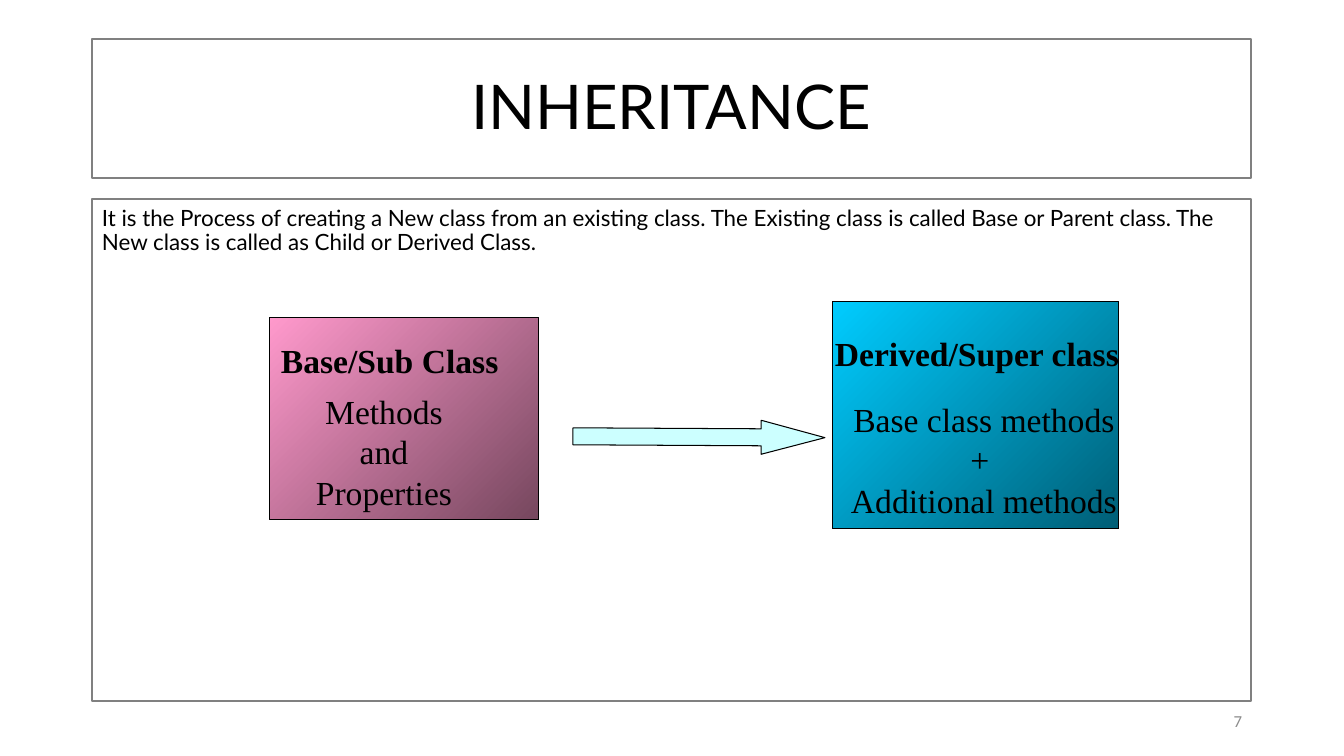
"""Build the INHERITANCE slide: a base class leading to a derived class."""
from pptx import Presentation
from pptx import util as u
from pptx.dml.color import RGBColor
from pptx.enum import shapes, text

PX = 914400 / 100.8
COLORS = {
    "ink": "000000", "frame": "808080", "number": "8C8C8C", "arrow": "CCFFFF",
    "pink": "FF99CC", "plum": "76475E", "cyan": "00CCFF", "teal": "005E76",
}
ALIGN = text.PP_ALIGN
ANCHOR = text.MSO_ANCHOR


def add_shape(kind, box, line, width):
    shape = slide.shapes.add_shape(kind, *[round(n * PX) for n in box])
    shape.shadow.inherit = False
    shape.fill.background()
    shape.line.color.rgb = RGBColor.from_string(COLORS[line])
    shape.line.width = u.Pt(width)
    return shape


def add_text(box, words, size, font="Times New Roman", align=ALIGN.LEFT,
             anchor=ANCHOR.TOP, color="ink", bold=False, spacing=1.0):
    frame = slide.shapes.add_textbox(*[round(n * PX) for n in box]).text_frame
    frame.word_wrap = True
    frame.vertical_anchor = anchor
    paragraph = frame.paragraphs[0]
    paragraph.text = words
    paragraph.alignment = align
    paragraph.line_spacing = spacing
    for run in paragraph.runs:
        run.font.name = font
        run.font.size = u.Pt(size)
        run.font.bold = bold
        run.font.color.rgb = RGBColor.from_string(COLORS[color])


presentation = Presentation()
presentation.slide_width = round(1344 * PX)
presentation.slide_height = round(756 * PX)
slide = presentation.slides.add_slide(presentation.slide_layouts[6])

add_text((92, 39, 1159, 141), "INHERITANCE", 44, "Lato", ALIGN.CENTER,
         ANCHOR.MIDDLE, spacing=0.9)
add_text((92, 202, 1159, 497),
         "It is the Process of creating a New class from an existing class. "
         "The Existing class is called Base or Parent class. "
         "The New class is called as Child or Derived Class.",
         16, "Lato", spacing=0.9)
add_text((950, 701, 302, 40), "7", 12, "Calibri", ALIGN.RIGHT,
         ANCHOR.MIDDLE, "number")

for frame_box in ((92, 199, 1159, 502), (92, 39, 1159, 139)):
    add_shape(shapes.MSO_SHAPE.RECTANGLE, frame_box, "frame", 1)

class_boxes = (
    ((270, 318, 269, 202), "pink", "plum",
     (271, 335, 269, 50), "Base/Sub Class",
     (287, 386, 194, 131), "Methods\vand Properties"),
    ((833, 302, 286, 227), "cyan", "teal",
     (825, 328, 311, 50), "Derived/Super class",
     (833, 394, 302, 131), "Base class methods + \vAdditional methods"),
)
for box, start, end, name_box, name, members_box, members in class_boxes:
    class_shape = add_shape(shapes.MSO_SHAPE.RECTANGLE, box, "ink", 0.75)
    class_shape.fill.gradient()
    class_shape.fill.gradient_angle = 315
    for stop, color in zip(class_shape.fill.gradient_stops, (start, end)):
        stop.color.rgb = RGBColor.from_string(COLORS[color])
    add_text(name_box, name, 24, bold=True)
    add_text(members_box, members, 24, align=ALIGN.CENTER)

arrow = add_shape(shapes.MSO_SHAPE.DOWN_ARROW, (682, 311, 34, 252), "ink", 0.75)
arrow.rotation = 270.3
arrow.adjustments[0] = 0.5
arrow.adjustments[1] = 1.875
arrow.fill.solid()
arrow.fill.fore_color.rgb = RGBColor.from_string(COLORS["arrow"])

presentation.save("out.pptx")
